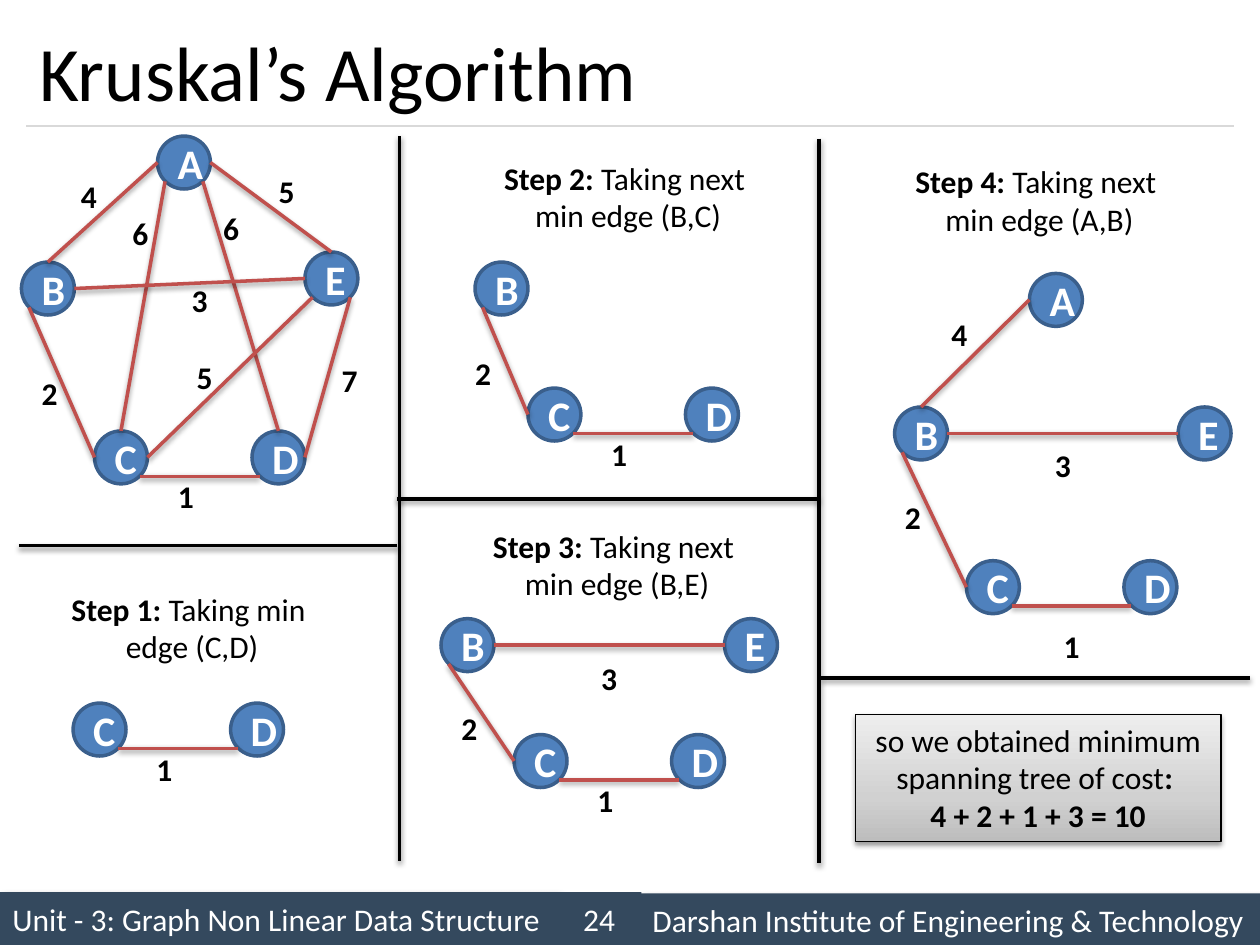
import copy

import lxml.etree
import pptx
import pptx.dml.color
import pptx.enum.shapes
import pptx.enum.text
import pptx.oxml.ns
import pptx.util

PX = 9144  # EMU per px, 100 px to the inch
SHAPE = pptx.enum.shapes.MSO_SHAPE
ALIGN = pptx.enum.text.PP_ALIGN
ANCHOR = pptx.enum.text.MSO_ANCHOR
GROW = pptx.enum.text.MSO_AUTO_SIZE.SHAPE_TO_FIT_TEXT
rgb = pptx.dml.color.RGBColor.from_string
qn = pptx.oxml.ns.qn

THEME = {
    "font": "Calibri",
    "title": 44, "node": 24, "body": 18,
    "ink": "000000", "paper": "FFFFFF", "rule": "D9D9D9",
    "bar": "34495E", "node_fill": "4F81BD", "node_line": "3A5F8C",
    "edge": "C0504D",
    "cost_stops": [(0, "BDBDBD"), (0.35, "D1D1D1"), (1, "EEEEEE")],
}
SOFT = (38, 3.1, 1.6, 90)
DIAGONAL = (40, 4, 3, 45)


def write(sp, paras, size, color, align=ALIGN.CENTER, **frame):
    """Fill a shape with paragraphs, each a list of (text, bold) runs."""
    tf = sp.text_frame
    for name, value in frame.items():
        setattr(tf, name, value)
    for i, runs in enumerate(paras):
        p = tf.add_paragraph() if i else tf.paragraphs[0]
        p.alignment = align
        for text, bold in runs:
            r = p.add_run()
            r.text = text
            font = {"name": THEME["font"], "size": pptx.util.Pt(size), "bold": bold}
            for name, value in font.items():
                setattr(r.font, name, value)
            r.font.color.rgb = rgb(color)


def cast_shadow(sp, shadow):
    """Give a shape a shadow of (opacity %, blur pt, distance pt, angle), or none."""
    sp_pr = sp._element.spPr
    for old in sp_pr.findall(qn("a:effectLst")):
        sp_pr.remove(old)
    effects = lxml.etree.SubElement(sp_pr, qn("a:effectLst"))
    if shadow:
        alpha, blur, dist, angle = shadow
        outer = lxml.etree.SubElement(
            effects, qn("a:outerShdw"), blurRad=str(int(blur * 12700)),
            dist=str(int(dist * 12700)), dir=str(angle * 60000), rotWithShape="0")
        ink = lxml.etree.SubElement(outer, qn("a:srgbClr"), val=THEME["ink"])
        lxml.etree.SubElement(ink, qn("a:alpha"), val=str(alpha * 1000))


prs = pptx.Presentation()
prs.slide_width, prs.slide_height = 1000 * PX, 750 * PX
s = prs.slides.add_slide(prs.slide_layouts[5])
shapes = s.shapes

# Footer
footer = [
    (0, 708, 442, "Unit - 3: Graph Non Linear Data Structure", ALIGN.LEFT, DIAGONAL),
    (508, 709, 492, "Darshan Institute of Engineering & Technology", ALIGN.LEFT, DIAGONAL),
    (442, 708, 67, "24", ALIGN.CENTER, None),
]
for x, y, w, text, align, shadow in footer:
    sp = shapes.add_shape(SHAPE.RECTANGLE, x * PX, y * PX, w * PX, 42 * PX)
    sp.fill.solid()
    sp.fill.fore_color.rgb = rgb(THEME["bar"])
    sp.line.fill.background()
    cast_shadow(sp, shadow)
    write(sp, [[(text, False)]], THEME["body"], THEME["paper"], align,
          vertical_anchor=ANCHOR.MIDDLE)

# Title
title = shapes.title
for name, value in {"left": 21, "top": 12, "width": 958, "height": 88}.items():
    setattr(title, name, value * PX)
write(title, [[("Kruskal’s Algorithm", False)]], THEME["title"], THEME["ink"],
      ALIGN.LEFT, vertical_anchor=ANCHOR.MIDDLE)

# Graphs: nodes by top left corner; edges as node, site, node, site, weight, label corner
D = 42
SITES = {"t": (21, 0), "l": (0, 21), "b": (21, D), "r": (D, 21),
         "bl": (6, 36), "br": (36, 36)}
graphs = [
    ({"A": (125, 108), "B": (17, 208), "C": (75, 342), "D": (200, 342), "E": (242, 200)},
     [("A", "l", "B", "t", 4, 54, 136), ("B", "bl", "C", "l", 2, 23, 292),
      ("C", "br", "D", "bl", 1, 131, 374), ("A", "r", "E", "t", 5, 211, 132),
      ("E", "br", "D", "r", 7, 261, 282), ("A", "bl", "C", "t", 6, 95, 165),
      ("A", "br", "D", "t", 6, 167, 161), ("C", "r", "E", "bl", 5, 146, 279),
      ("B", "r", "E", "l", 3, 142, 218)]),
    ({"C": (58, 558), "D": (183, 558)},
     [("C", "br", "D", "bl", 1, 114, 590)]),
    ({"B": (377, 208), "C": (419, 308), "D": (544, 308)},
     [("B", "bl", "C", "l", 2, 367, 276), ("C", "br", "D", "bl", 1, 475, 340)]),
    ({"B": (350, 491), "C": (408, 583), "D": (533, 583), "E": (575, 491)},
     [("B", "bl", "C", "l", 2, 356, 558), ("C", "br", "D", "bl", 1, 464, 615),
      ("B", "r", "E", "l", 3, 467, 518)]),
    ({"B": (710, 323), "C": (767, 445), "D": (892, 445), "E": (935, 323), "A": (817, 217)},
     [("B", "bl", "C", "l", 2, 708, 390), ("C", "br", "D", "bl", 1, 834, 493),
      ("B", "r", "E", "l", 3, 827, 349), ("A", "l", "B", "t", 4, 745, 245)]),
]
lines = [(21, 100, 979, 100, THEME["rule"], 0.75, None)]
for nodes, edges in graphs:
    for name, (x, y) in nodes.items():
        sp = shapes.add_shape(SHAPE.OVAL, x * PX, y * PX, D * PX, D * PX)
        sp.shadow.inherit = False
        sp.fill.solid()
        sp.fill.fore_color.rgb = rgb(THEME["node_fill"])
        sp.line.color.rgb = rgb(THEME["node_line"])
        sp.line.width = pptx.util.Pt(2)
        write(sp, [[(name, True)]], THEME["node"], THEME["paper"],
              vertical_anchor=ANCHOR.MIDDLE)
    for start, site1, end, site2, weight, x, y in edges:
        (x1, y1), (dx1, dy1) = nodes[start], SITES[site1]
        (x2, y2), (dx2, dy2) = nodes[end], SITES[site2]
        lines.append((x1 + dx1, y1 + dy1, x2 + dx2, y2 + dy2, THEME["edge"], 2, SOFT))
        label = shapes.add_textbox(x * PX, y * PX, 33 * PX, 40 * PX)
        write(label, [[(str(weight), True)]], THEME["body"], THEME["ink"],
              word_wrap=False, auto_size=GROW)

# Step captions
steps = [
    (46, 463, 213, False, "Step 1:", " Taking min ", "edge (C,D)"),
    (389, 121, 219, False, "Step 2:", " Taking next ", "min edge (B,C)"),
    (367, 413, 240, True, "Step 3:", " Taking next", " min edge (B,E)"),
    (708, 124, 234, True, "Step 4:", " Taking next ", "min edge (A,B)"),
]
for x, y, w, wrap, step, action, edge in steps:
    caption = shapes.add_textbox(x * PX, y * PX, w * PX, 71 * PX)
    write(caption, [[(step, True), (action, False)], [(edge, False)]],
          THEME["body"], THEME["ink"], word_wrap=wrap, auto_size=GROW)

# Cost of the spanning tree
cost = shapes.add_shape(SHAPE.RECTANGLE, 679 * PX, 567 * PX, 290 * PX, 101 * PX)
cost.fill.gradient()
cost.fill.gradient_angle = 90
stops = cost._element.spPr.find(".//" + qn("a:gsLst"))
stops.insert(1, copy.deepcopy(stops[0]))
for stop, (position, color) in zip(cost.fill.gradient_stops, THEME["cost_stops"]):
    stop.position = position
    stop.color.rgb = rgb(color)
cost.line.color.rgb = rgb(THEME["ink"])
cost.line.width = pptx.util.Pt(0.75)
cast_shadow(cost, SOFT)
write(cost, [[("so we obtained minimum", False)],
             [("spanning tree of cost", False), (": ", True)],
             [("4 + 2 + 1 + 3 = 10", True)]],
      THEME["body"], THEME["ink"], vertical_anchor=ANCHOR.TOP, auto_size=GROW)

# Title rule, edges and panel dividers
dividers = [(317, 108, 317, 683), (650, 110, 650, 685), (15, 433, 315, 433),
            (315, 396, 650, 396), (652, 538, 992, 538)]
lines += [(*ends, THEME["ink"], 2, SOFT) for ends in dividers]
for x1, y1, x2, y2, color, width, shadow in lines:
    line = shapes.add_connector(pptx.enum.shapes.MSO_CONNECTOR.STRAIGHT,
                                x1 * PX, y1 * PX, x2 * PX, y2 * PX)
    line.line.color.rgb = rgb(color)
    line.line.width = pptx.util.Pt(width)
    cast_shadow(line, shadow)

prs.save("out.pptx")
